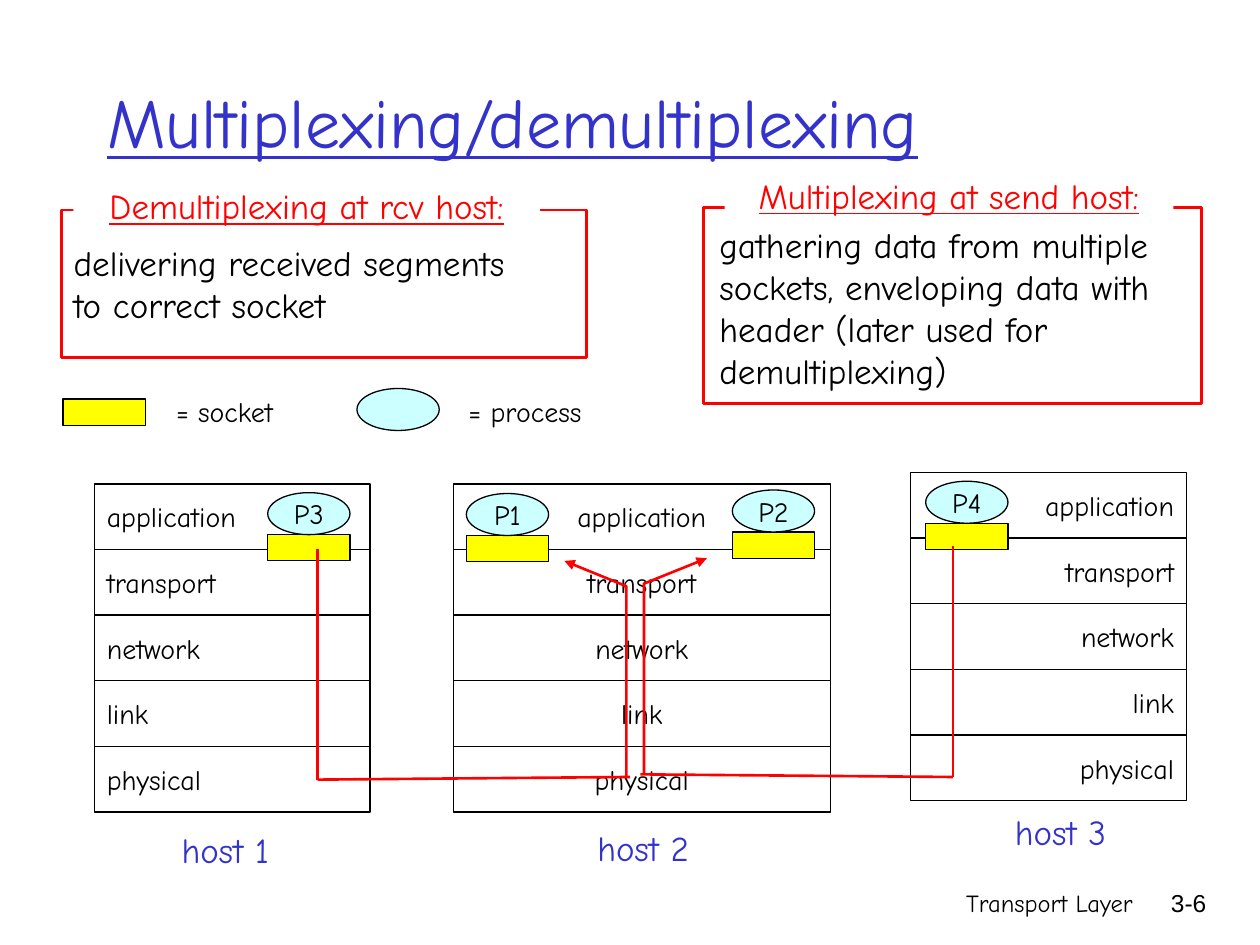
from dataclasses import dataclass

from lxml import etree
from pptx import Presentation
from pptx.dml.color import RGBColor
from pptx.enum.shapes import MSO_CONNECTOR, MSO_SHAPE
from pptx.enum.text import MSO_ANCHOR, MSO_AUTO_SIZE, PP_ALIGN
from pptx.oxml.ns import qn
from pptx.util import Pt

LEFT, CENTER, RIGHT = PP_ALIGN.LEFT, PP_ALIGN.CENTER, PP_ALIGN.RIGHT
TOP, MIDDLE = MSO_ANCHOR.TOP, MSO_ANCHOR.MIDDLE
RECTANGLE, OVAL = MSO_SHAPE.RECTANGLE, MSO_SHAPE.OVAL


@dataclass(frozen=True)
class Theme:
    black: RGBColor = RGBColor(0x00, 0x00, 0x00)
    white: RGBColor = RGBColor(0xFF, 0xFF, 0xFF)
    blue: RGBColor = RGBColor(0x33, 0x33, 0xCC)
    red: RGBColor = RGBColor(0xFF, 0x00, 0x00)
    socket: RGBColor = RGBColor(0xFF, 0xFF, 0x00)
    process: RGBColor = RGBColor(0xCC, 0xFF, 0xFF)
    font: str = "Comic Neue"
    number_font: str = "Arial"
    title: int = 40
    body: int = 20
    label: int = 16
    footer: int = 14
    thin: float = 0.75
    thick: float = 1.5


theme = Theme()


def write(shape, lines, size, color=theme.black, align=LEFT, anchor=TOP,
          underline=False, font=theme.font):
    frame = shape.text_frame
    frame.auto_size = MSO_AUTO_SIZE.NONE
    frame.word_wrap = True
    frame.vertical_anchor = anchor
    for index, line in enumerate(lines):
        paragraph = frame.paragraphs[0] if index == 0 else frame.add_paragraph()
        paragraph.alignment = align
        run = paragraph.add_run()
        run.text = line
        run.font.name = font
        run.font.size = Pt(size)
        run.font.color.rgb = color
        run.font.underline = underline


def block(kind, left, top, width, height, fill=None, line=theme.black, weight=theme.thin):
    shape = slide.shapes.add_shape(kind, Pt(left), Pt(top), Pt(width), Pt(height))
    shape.shadow.inherit = False
    if fill is None:
        shape.fill.background()
    else:
        shape.fill.solid()
        shape.fill.fore_color.rgb = fill
    shape.line.color.rgb = line
    shape.line.width = Pt(weight)
    return shape


prs = Presentation()
prs.slide_width, prs.slide_height = Pt(720), Pt(540)
slide = prs.slides.add_slide(prs.slide_layouts[5])

title = slide.shapes.title
title.left, title.top, title.width, title.height = Pt(54), Pt(24), Pt(612), Pt(90)
write(title, ["Multiplexing/demultiplexing"], theme.title, theme.blue,
      anchor=MIDDLE, underline=True)

layers = ["application", "transport", "network", "link", "physical"]
layer_height = 37.5
hosts = [
    (54, 276.5, 157.5, LEFT),
    (520.5, 270, 157.5, RIGHT),
    (259, 276.5, 215.5, CENTER),
]
for left, top, width, align in hosts:
    for row, layer in enumerate(layers):
        cell = block(RECTANGLE, left, top + row * layer_height, width, layer_height, theme.white)
        write(cell, [layer], theme.label, align=align, anchor=MIDDLE)

token_width, socket_height, process_height = 47, 15, 24
processes = [("P2", 418.5, 280), ("P3", 153, 281.5), ("P4", 529, 275), ("P1", 266.5, 282)]
for name, left, top in processes:
    block(RECTANGLE, left, top + process_height, token_width, socket_height, theme.socket)
    process = block(OVAL, left, top, token_width, process_height, theme.process)
    write(process, [name], theme.label, align=CENTER, anchor=MIDDLE)

block(RECTANGLE, 36, 228, token_width, socket_height, theme.socket)
block(OVAL, 204, 222, token_width, process_height, theme.process)

demultiplexing = block(RECTANGLE, 35, 120, 300, 84.5, line=theme.red, weight=theme.thick)
write(demultiplexing, ["delivering received segments", "to correct socket"],
      theme.body, anchor=MIDDLE)
block(RECTANGLE, 402, 118.5, 284.5, 112, line=theme.red, weight=theme.thick)

multiplexing = ["gathering data from multiple", "sockets, enveloping data with",
                "header (later used for", "demultiplexing)"]
captions = [
    (["host 1"], 93.5, 470, 70.5, 31, theme.body, theme.blue, CENTER, theme.font),
    (["host 2"], 330.5, 468.5, 74, 31, theme.body, theme.blue, CENTER, theme.font),
    (["host 3"], 569, 459.5, 74, 31, theme.body, theme.blue, CENTER, theme.font),
    (["= process"], 258, 222, 84, 26.5, theme.label, theme.black, CENTER, theme.font),
    (["= socket"], 90, 222, 76.5, 26.5, theme.label, theme.black, CENTER, theme.font),
    (multiplexing, 404, 124, 293, 103, theme.body, theme.black, LEFT, theme.font),
    (["Transport Layer"], 426, 504, 228.5, 36, theme.footer, theme.black, RIGHT, theme.font),
    (["3-6"], 643, 504, 53.5, 36, theme.footer, theme.black, RIGHT, theme.number_font),
]
for lines, left, top, width, height, size, color, align, font in captions:
    caption = slide.shapes.add_textbox(Pt(left), Pt(top), Pt(width), Pt(height))
    write(caption, lines, size, color, align, font=font)

headings = [
    ("Demultiplexing at rcv host:", 42, 102, 266.5),
    ("Multiplexing at send host:", 414, 96, 256.5),
]
for heading, left, top, width in headings:
    banner = block(RECTANGLE, left, top, width, 31, theme.white)
    banner.line.fill.background()
    write(banner, [heading], theme.body, theme.red, CENTER, underline=True)

routes = [
    ((181.5, 314), (181.5, 445.5), (360, 444), [(358, 444), (358, 335), (322.5, 320.5)]),
    ((544.5, 312), (544.5, 444), (366, 442.5), [(368, 442), (368, 333.5), (404, 319)]),
]
for source, corner, turn, delivery in routes:
    for start, end in ((source, corner), (corner, turn)):
        link = slide.shapes.add_connector(MSO_CONNECTOR.STRAIGHT, *map(Pt, start + end))
        link.line.color.rgb = theme.red
        link.line.width = Pt(theme.thick)
        etree.SubElement(link._element.spPr, qn("a:effectLst"))
    builder = slide.shapes.build_freeform(*map(Pt, delivery[0]))
    builder.add_line_segments([(Pt(x), Pt(y)) for x, y in delivery[1:]], close=False)
    arrow = builder.convert_to_shape()
    arrow.shadow.inherit = False
    arrow.fill.background()
    arrow.line.color.rgb = theme.red
    arrow.line.width = Pt(theme.thick)
    etree.SubElement(arrow.line._get_or_add_ln(), qn("a:tailEnd"), type="triangle")

prs.save("out.pptx")
